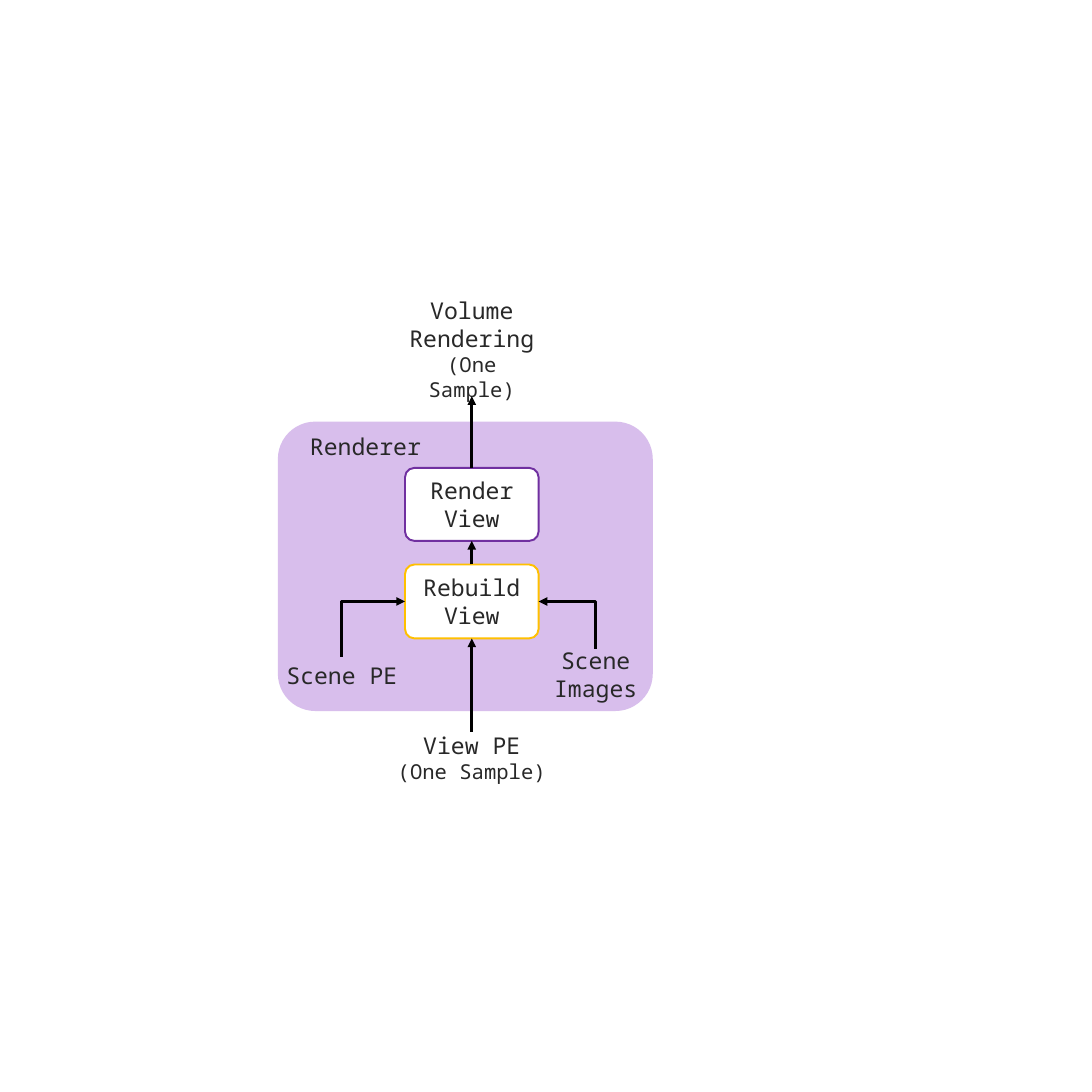
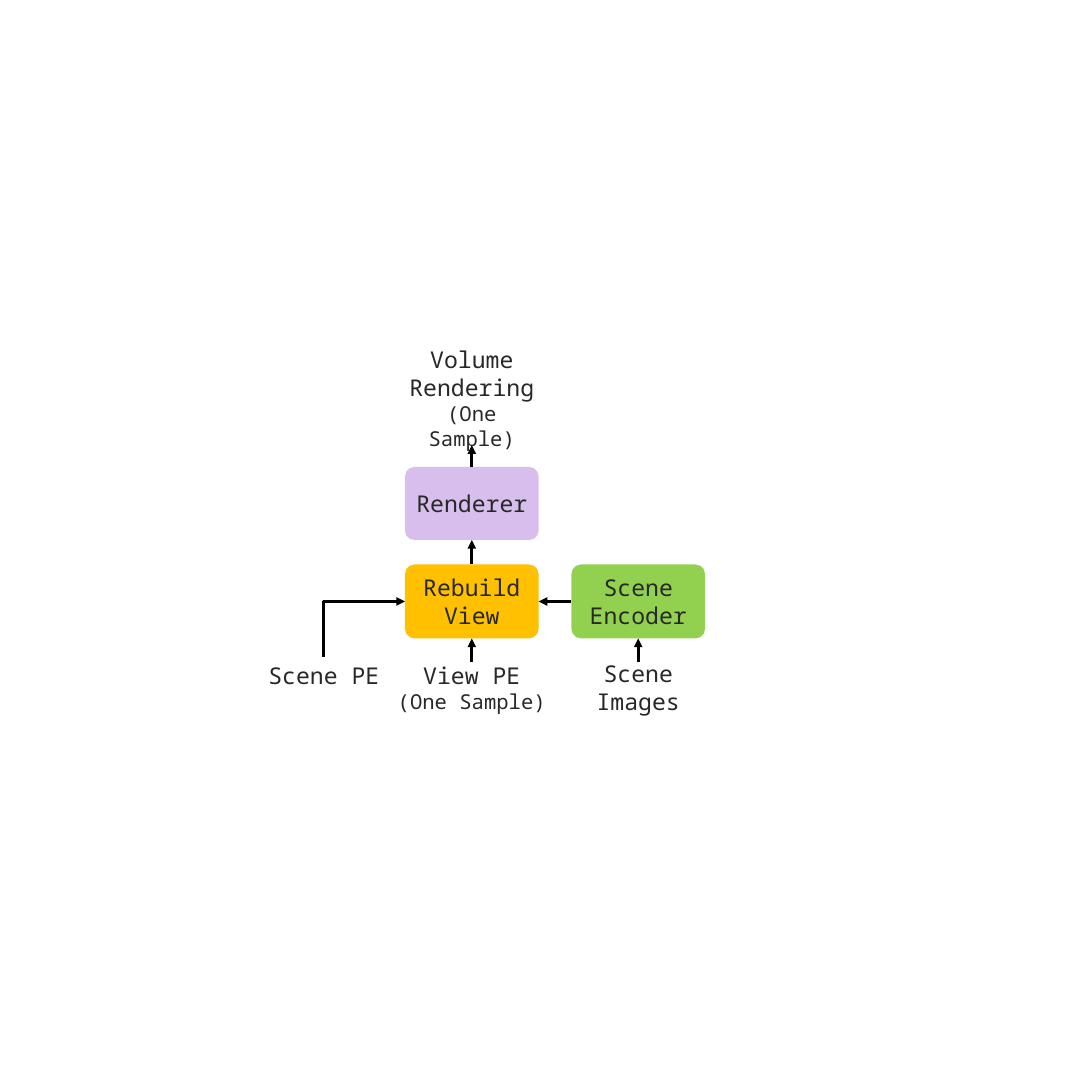
from dataclasses import dataclass

from lxml.etree import SubElement
from pptx import Presentation
from pptx.dml.color import RGBColor
from pptx.enum.shapes import MSO_CONNECTOR, MSO_SHAPE
from pptx.enum.text import MSO_ANCHOR, PP_ALIGN
from pptx.oxml.ns import qn
from pptx.util import Inches, Pt

TOP, LEFT, BOTTOM, RIGHT = range(4)


@dataclass(frozen=True)
class Theme:
    """Colours, type sizes and line widths shared by the slides."""

    font: str = "Noto Sans Mono"
    text: str = "282828"
    arrow: str = "000000"
    white: str = "FFFFFF"
    lilac: str = "D8BEEC"
    purple: str = "7030A0"
    amber: str = "FFC000"
    green: str = "92D050"
    size: int = 36
    note_size: int = 32
    outline_width: float = 3
    arrow_width: float = 4.5
    corner: float = 0.129


@dataclass(frozen=True)
class Box:
    """A rectangle in inches."""

    left: float
    top: float
    width: float
    height: float

    def place(self, across, down, width, height):
        """Return a box whose centre and top are offset from this box's centre and top."""
        centre = self.left + self.width / 2 + across
        return Box(centre - width / 2, self.top + down, width, height)

    def lengths(self):
        """Return left, top, width and height as lengths."""
        return [Inches(value) for value in (self.left, self.top, self.width, self.height)]


THEME = Theme()
CORE = Box(8.76, 12.21, 2.89, 1.6)


def write_lines(shape, lines):
    """Write centred paragraphs, setting bracketed notes in the smaller size."""
    frame = shape.text_frame
    frame.word_wrap = True
    frame.vertical_anchor = MSO_ANCHOR.MIDDLE
    frame.text = "\n".join(lines)
    for paragraph in frame.paragraphs:
        paragraph.alignment = PP_ALIGN.CENTER
        font = paragraph.font
        font.name = THEME.font
        font.size = Pt(THEME.note_size if paragraph.text.startswith("(") else THEME.size)
        font.color.rgb = RGBColor.from_string(THEME.text)


def add_block(slide, box, fill, lines=(), outline=None):
    """Add a filled rounded block with optional text and outline."""
    shape = slide.shapes.add_shape(MSO_SHAPE.ROUNDED_RECTANGLE, *box.lengths())
    shape.adjustments[0] = THEME.corner
    shape.shadow.inherit = False
    shape.fill.solid()
    shape.fill.fore_color.rgb = RGBColor.from_string(fill)
    if outline:
        shape.line.color.rgb = RGBColor.from_string(outline)
        shape.line.width = Pt(THEME.outline_width)
    else:
        shape.line.fill.background()
    if lines:
        write_lines(shape, lines)
    return shape


def add_label(slide, box, *lines):
    """Add a plain text label."""
    shape = slide.shapes.add_textbox(*box.lengths())
    write_lines(shape, lines)
    return shape


def add_link(slide, kind, start, start_side, end, end_side, arrow_end):
    """Join two shapes with a line that has one arrowhead."""
    connector = slide.shapes.add_connector(kind, 0, 0, 0, 0)
    connector.begin_connect(start, start_side)
    connector.end_connect(end, end_side)
    connector.line.color.rgb = RGBColor.from_string(THEME.arrow)
    connector.line.width = Pt(THEME.arrow_width)
    properties = connector._element.spPr
    SubElement(properties.find(qn("a:ln")), qn(arrow_end), type="triangle")
    SubElement(properties, qn("a:effectLst"))
    return connector


def add_arrow(slide, start, end, start_side=TOP, end_side=BOTTOM):
    """Draw a straight arrow, upwards unless sides are given."""
    add_link(slide, MSO_CONNECTOR.STRAIGHT, start, start_side, end, end_side, "a:tailEnd")


def add_corner_arrow(slide, label, block, side):
    """Draw a one-bend arrow from the top of a label to the side of a block."""
    connector = add_link(slide, MSO_CONNECTOR.ELBOW, block, side, label, TOP, "a:headEnd")
    connector._element.spPr.find(qn("a:prstGeom")).set("prst", "bentConnector2")


def add_output(slide, core, down):
    """Add the volume rendering label above the core box."""
    box = core.place(0, down, 3.33, 2.05)
    return add_label(slide, box, "Volume", "Rendering", "(One Sample)")


def add_inputs(slide, core, scene_across, view_down, rebuild):
    """Add the scene and view encodings that feed the rebuild block."""
    scene = add_label(slide, core.place(scene_across, 2, 2.73, 0.79), "Scene PE")
    view = add_label(slide, core.place(0, view_down, 3.66, 1.1), "View PE", "(One Sample)")
    add_corner_arrow(slide, scene, rebuild, LEFT)
    add_arrow(slide, view, rebuild)


def add_images(slide, core, across, down):
    """Add the scene images label."""
    return add_label(slide, core.place(across, down, 2.47, 1.1), "Scene Images")


def build_renderer_slide(slide, core):
    """Show the rebuild step inside the renderer."""
    add_block(slide, core.place(-0.14, -3.09, 8.11, 6.26), THEME.lilac)
    add_label(slide, core.place(-2.3, -2.99, 2.93, 0.86), "Renderer")
    rebuild = add_block(slide, core, THEME.white, ("Rebuild", "View"), THEME.amber)
    render = add_block(
        slide, core.place(0, -2.09, 2.89, 1.58), THEME.white, ("Render", "View"), THEME.purple
    )
    add_inputs(slide, core, -2.81, 3.62, rebuild)
    add_corner_arrow(slide, add_images(slide, core, 2.68, 1.83), rebuild, RIGHT)
    add_arrow(slide, rebuild, render)
    add_arrow(slide, render, add_output(slide, core, -5.69))


def build_encoder_slide(slide, core):
    """Show the rebuild step between the scene encoder and the renderer."""
    rebuild = add_block(slide, core, THEME.amber, ("Rebuild", "View"))
    encoder = add_block(
        slide, core.place(3.6, 0, core.width, core.height), THEME.green, ("Scene Encoder",)
    )
    renderer = add_block(slide, core.place(0, -2.11, 2.89, 1.58), THEME.lilac, ("Renderer",))
    add_inputs(slide, core, -3.2, 2.11, rebuild)
    add_arrow(slide, add_images(slide, core, 3.6, 2.11), encoder)
    add_arrow(slide, encoder, rebuild, LEFT, RIGHT)
    add_arrow(slide, rebuild, renderer)
    add_arrow(slide, renderer, add_output(slide, core, -4.63))


def main():
    """Build and save the presentation."""
    presentation = Presentation()
    presentation.slide_width = presentation.slide_height = Inches(23.62)
    blank = presentation.slide_layouts[6]
    for build in (build_renderer_slide, build_encoder_slide):
        build(presentation.slides.add_slide(blank), CORE)
    presentation.save("out.pptx")


if __name__ == "__main__":
    main()
